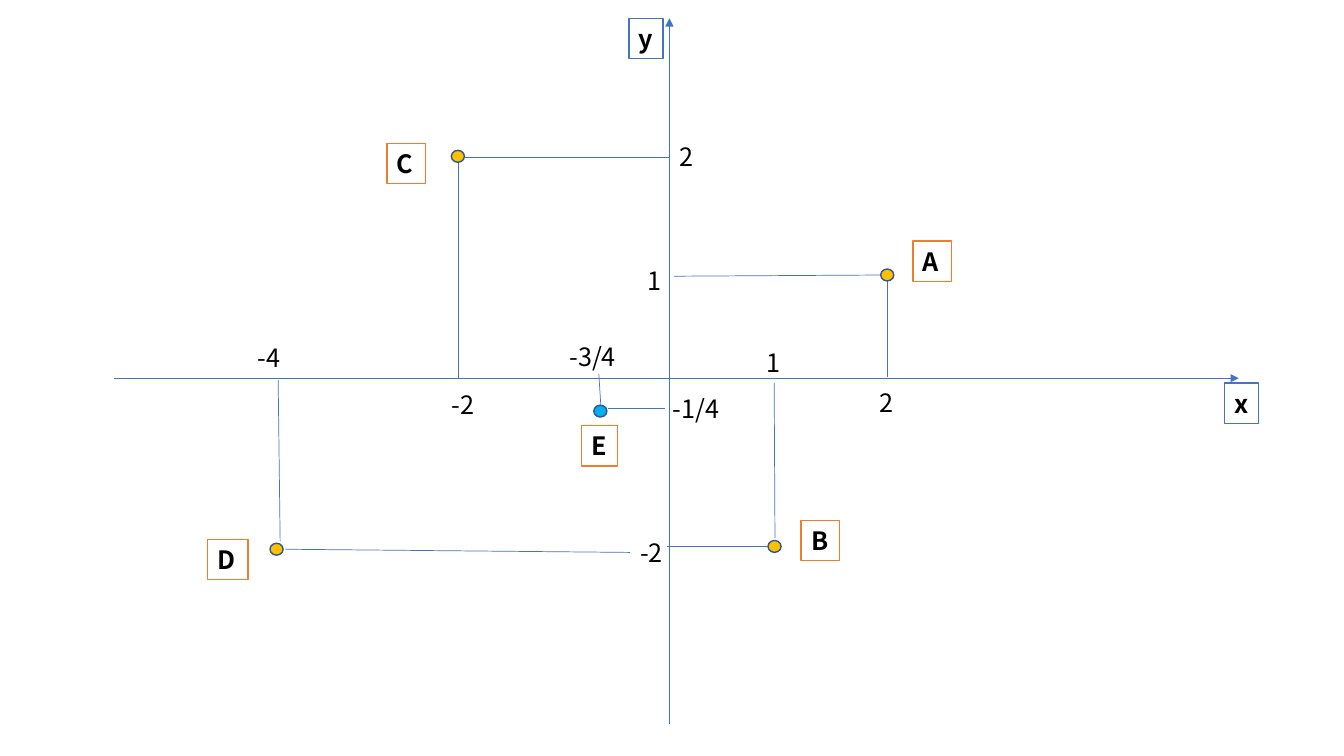
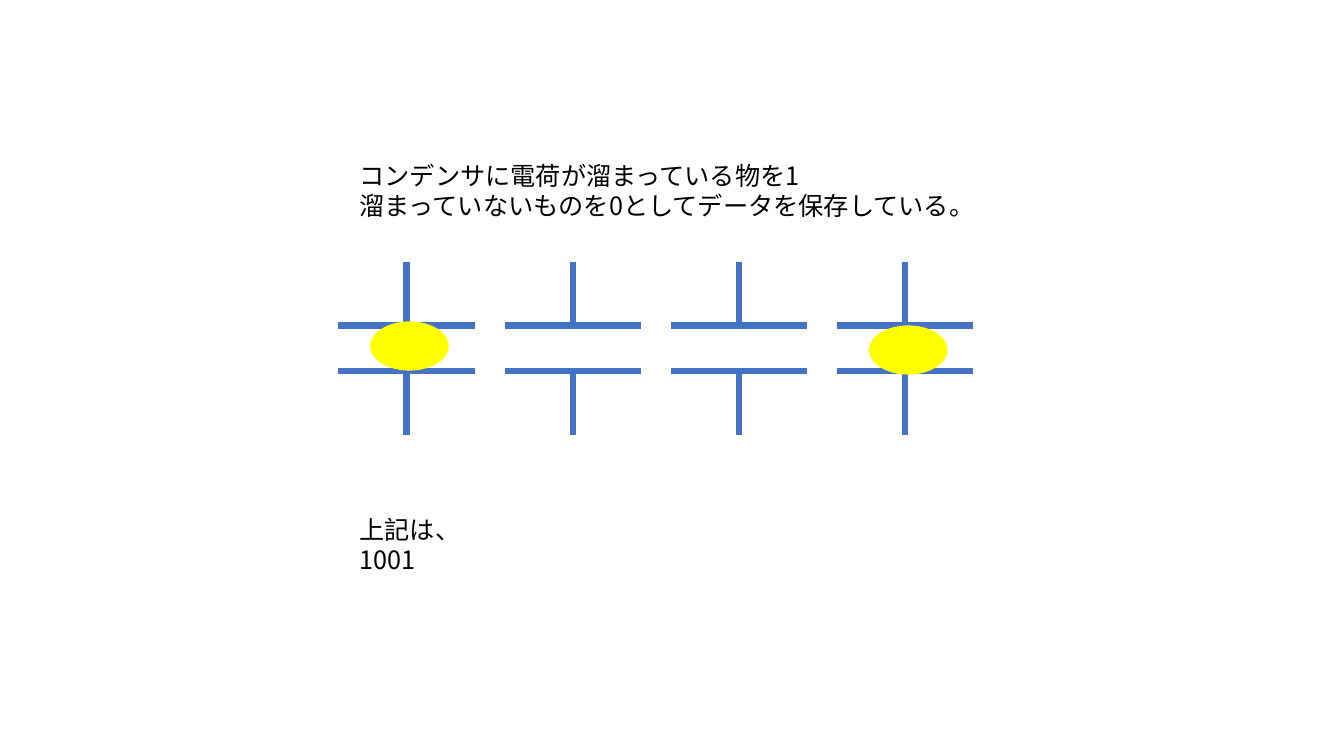
from typing import NamedTuple, Optional

from lxml.etree import SubElement
from pptx import Presentation
from pptx.dml.color import RGBColor
from pptx.enum.shapes import MSO_CONNECTOR as Conn, MSO_SHAPE as Shp
from pptx.oxml.ns import qn
from pptx.util import Cm, Pt

FONT = "Noto Sans CJK JP"
BLACK = RGBColor(0x00, 0x00, 0x00)
WHITE = RGBColor(0xFF, 0xFF, 0xFF)
BLUE = RGBColor(0x44, 0x72, 0xC4)
NAVY = RGBColor(0x32, 0x54, 0x91)
ORANGE = RGBColor(0xED, 0x7D, 0x31)
GOLD = RGBColor(0xFF, 0xC0, 0x00)
CYAN = RGBColor(0x00, 0xB0, 0xF0)
YELLOW = RGBColor(0xFF, 0xFF, 0x00)

ORIGIN_X, ORIGIN_Y = 16.87, 9.53
DOT_W, DOT_H = 0.33, 0.3
LABEL_H = 1.02
LABEL_W = {1: 0.86, 2: 1.14, 4: 1.83}
PITCH, PLATE_W = 4.19, 3.43
PLATE_YS, LEAD = (8.2, 9.35), 1.6


class Line(NamedTuple):
    """A straight line, in centimetres."""
    x1: float
    y1: float
    x2: float
    y2: float


class Tag(NamedTuple):
    """A framed bold letter."""
    name: str
    x: float
    y: float
    w: float
    color: RGBColor


class Point(NamedTuple):
    """A plotted point with its tag and the guides to both axes."""
    x: float
    y: float
    color: RGBColor
    tag: Tag
    guides: tuple[Line, Line]


class Tick(NamedTuple):
    """A coordinate written beside an axis."""
    label: str
    x: float
    y: float


AXES = (Line(ORIGIN_X, 18.24, ORIGIN_X, 0.46), Line(2.87, ORIGIN_Y, 31.22, ORIGIN_Y))
AXIS_TAGS = (Tag("y", 15.85, 0.46, 0.86, BLUE), Tag("x", 30.86, 9.65, 0.86, BLUE))
POINTS = (
    Point(22.36, 6.93, GOLD, Tag("A", 23.01, 6.07, 0.97, ORANGE),
          (Line(16.99, 6.96, 22.2, 6.93), Line(22.35, 7.09, 22.35, 9.5))),
    Point(19.52, 13.77, GOLD, Tag("B", 20.19, 13.11, 0.97, ORANGE),
          (Line(16.81, 13.77, 19.35, 13.77), Line(19.51, 9.65, 19.53, 13.56))),
    Point(11.54, 3.94, GOLD, Tag("C", 9.75, 3.61, 0.97, ORANGE),
          (Line(11.73, 3.96, ORIGIN_X, 3.96), Line(11.56, 4.11, 11.56, 9.55))),
    Point(6.97, 13.84, GOLD, Tag("D", 5.23, 13.59, 1.02, ORANGE),
          (Line(7.19, 13.84, 15.88, 13.92), Line(7.01, 9.58, 7.06, 13.64))),
    Point(15.13, 10.36, CYAN, Tag("E", 14.66, 10.72, 0.91, ORANGE),
          (Line(15.32, 10.29, 16.76, 10.29), Line(15.09, 9.42, 15.14, 10.19))),
)
TICKS = (
    Tick("-2", 11.13, 9.68), Tick("2", 16.87, 3.43), Tick("1", 16.08, 6.55),
    Tick("2", 21.92, 9.63), Tick("1", 19.08, 8.64), Tick("-2", 15.88, 13.41),
    Tick("-4", 6.25, 8.51), Tick("-3/4", 14.1, 8.48), Tick("-1/4", 16.71, 9.78),
)
CHARGE_TOPS: tuple[Optional[float], ...] = (8.1, None, None, 8.2)


def add_text(s, text: str, x: float, y: float, w: float, h: float = LABEL_H, *,
             bold: bool = False, wrap: bool = False):
    """Add a text box with one paragraph per line of text."""
    sp = s.shapes.add_textbox(Cm(x), Cm(y), Cm(w), Cm(h))
    tf = sp.text_frame
    tf.word_wrap = wrap
    for i, line in enumerate(text.split("\n")):
        p = tf.add_paragraph() if i else tf.paragraphs[0]
        r = p.add_run()
        r.text = line
        r.font.name, r.font.size, r.font.bold = FONT, Pt(18), bold
        r.font.color.rgb = BLACK
        SubElement(r.font._element, qn("a:ea"), typeface=FONT)
    return sp


def add_tag(s, tag: Tag) -> None:
    """Add a bold letter in a white frame."""
    sp = add_text(s, tag.name, tag.x, tag.y, tag.w, bold=True)
    sp.fill.solid()
    sp.fill.fore_color.rgb = WHITE
    sp.line.color.rgb = tag.color
    sp.line.width = Pt(1)


def add_line(s, line: Line, width: float = 0.5, arrow: bool = False) -> None:
    """Add a blue line, with an arrowhead at its end if asked."""
    c = s.shapes.add_connector(Conn.STRAIGHT, *map(Cm, line))
    c.line.color.rgb = BLUE
    c.line.width = Pt(width)
    if arrow:
        SubElement(c.line._get_or_add_ln(), qn("a:tailEnd"), type="triangle")
    SubElement(c._element.spPr, qn("a:effectLst"))


def add_oval(s, x: float, y: float, w: float, h: float, fill: RGBColor,
             outline: Optional[RGBColor] = None) -> None:
    """Add an ellipse, outlined only when a colour is given."""
    sp = s.shapes.add_shape(Shp.OVAL, Cm(x), Cm(y), Cm(w), Cm(h))
    sp.shadow.inherit = False
    sp.fill.solid()
    sp.fill.fore_color.rgb = fill
    if outline is None:
        sp.line.fill.background()
    else:
        sp.line.color.rgb = outline
        sp.line.width = Pt(1)


def add_capacitor(s, x: float) -> None:
    """Add two plates, each with a lead pointing away from the gap."""
    mid = x + PLATE_W / 2
    for y, lead in zip(PLATE_YS, (-LEAD, LEAD)):
        add_line(s, Line(x, y, x + PLATE_W, y), 4.5)
        add_line(s, Line(mid, min(y, y + lead), mid, max(y, y + lead)), 4.5)


def build_plane(s) -> None:
    """Draw the coordinate plane and its points."""
    for axis in AXES:
        add_line(s, axis, arrow=True)
    for tag in AXIS_TAGS:
        add_tag(s, tag)
    for pt in POINTS:
        for guide in pt.guides:
            add_line(s, guide)
        add_oval(s, pt.x - DOT_W / 2, pt.y - DOT_H / 2, DOT_W, DOT_H, pt.color, NAVY)
        add_tag(s, pt.tag)
    for tick in TICKS:
        add_text(s, tick.label, tick.x, tick.y, LABEL_W[len(tick.label)])


def build_memory(s) -> None:
    """Draw the row of capacitors that stores four bits."""
    for i, top in enumerate(CHARGE_TOPS):
        x = 8.53 + i * PITCH
        add_capacitor(s, x)
        if top is not None:
            add_oval(s, x + 0.8, top, 1.98, 1.24, YELLOW)
    add_text(s, "コンデンサに電荷が溜まっている物を1\n"
                "溜まっていないものを0としてデータを保存している。", 8.81, 3.91, 17, 1.8, wrap=True)
    add_text(s, "上記は、1001", 8.81, 12.83, 4.1, wrap=True)


def main() -> None:
    """Build and save the presentation."""
    prs = Presentation()
    prs.slide_width, prs.slide_height = Cm(33.87), Cm(19.05)
    for build in (build_plane, build_memory):
        build(prs.slides.add_slide(prs.slide_layouts[6]))
    prs.save("out.pptx")


if __name__ == "__main__":
    main()
